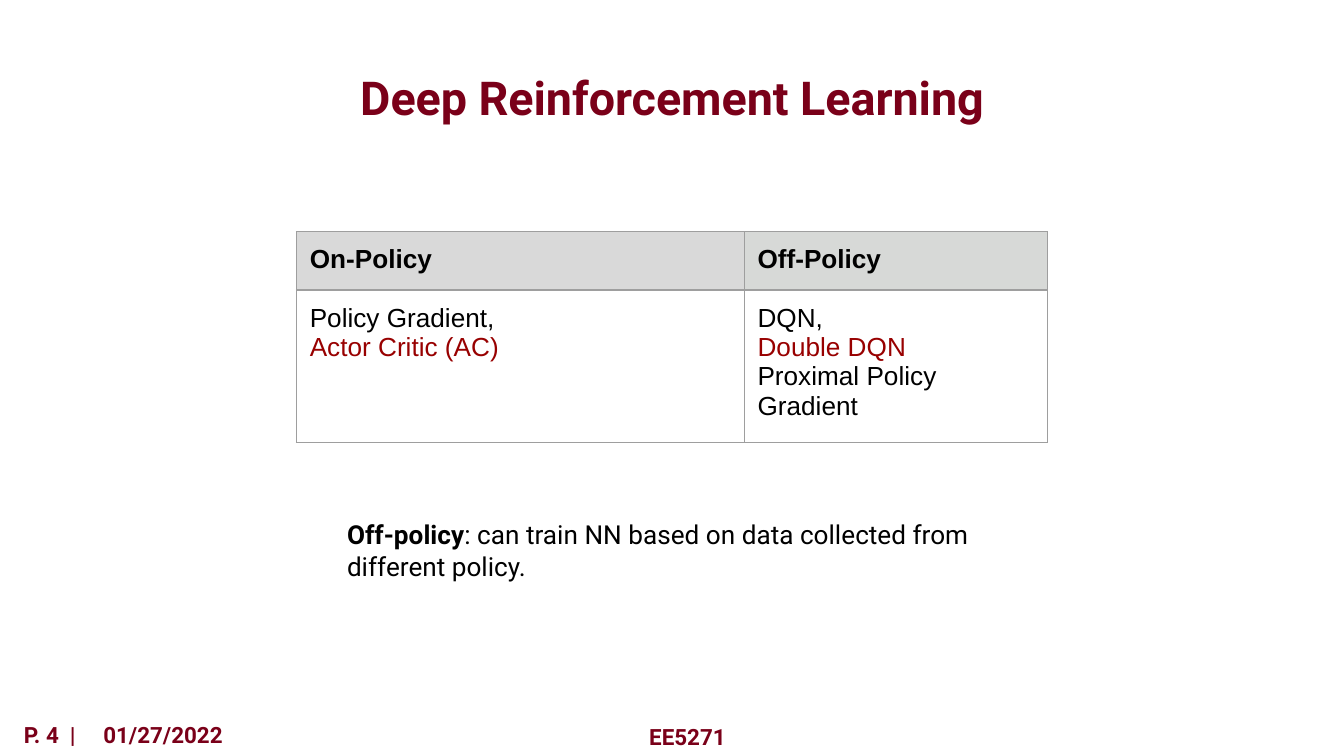
from lxml.etree import SubElement
from pptx import Presentation
from pptx.dml.color import RGBColor
from pptx.enum.text import MSO_ANCHOR, PP_ALIGN
from pptx.oxml.ns import qn
from pptx.util import Inches, Pt

MAROON = RGBColor(0x7A, 0x00, 0x19)
RED = RGBColor(0x98, 0x00, 0x00)
BLACK = RGBColor(0x00, 0x00, 0x00)
WHITE = RGBColor(0xFF, 0xFF, 0xFF)
GRAY = RGBColor(0xD9, 0xD9, 0xD9)
GREEN_GRAY = RGBColor(0xD7, 0xD9, 0xD7)
BORDER = RGBColor(0x9E, 0x9E, 0x9E)

WIDTH = Inches(10)
HEIGHT = WIDTH * 9 // 16
PAD = Inches(0.1)

HEADER = [("On-Policy", GRAY), ("Off-Policy", GREEN_GRAY)]
METHODS = [
    [("Policy Gradient,", BLACK), ("Actor Critic (AC)", RED)],
    [("DQN,", BLACK), ("Double DQN", RED), ("Proximal Policy Gradient", BLACK)],
]


def area(left, top, width, height):
    """Turn percentages of the slide into a box of lengths."""
    return (int(WIDTH * left / 100), int(HEIGHT * top / 100),
            int(WIDTH * width / 100), int(HEIGHT * height / 100))


def style(r, size, color, bold=False, font="Roboto"):
    r.font.name, r.font.size = font, Pt(size)
    r.font.bold, r.font.color.rgb = bold, color


def set_insets(item, x, y):
    item.margin_left = item.margin_right = x
    item.margin_top = item.margin_bottom = y


def add_title(s, box, text):
    sp = s.shapes.title
    sp.left, sp.top, sp.width, sp.height = box
    tf = sp.text_frame
    tf.text = text
    tf.vertical_anchor = MSO_ANCHOR.MIDDLE
    set_insets(tf, Inches(0.07), Inches(0.04))
    p = tf.paragraphs[0]
    p.alignment = PP_ALIGN.CENTER
    style(p.runs[0], 25, MAROON, True)


def add_text(s, box, runs, size, color, inset_y=PAD,
             anchor=MSO_ANCHOR.TOP, align=PP_ALIGN.LEFT):
    """Add one paragraph made of (text, bold) runs."""
    tf = s.shapes.add_textbox(*box).text_frame
    tf.word_wrap = True
    tf.vertical_anchor = anchor
    set_insets(tf, PAD, inset_y)
    p = tf.paragraphs[0]
    p.alignment = align
    for text, bold in runs:
        r = p.add_run()
        r.text = text
        style(r, size, color, bold)


def add_footer(s, box):
    left, top, width, height = box
    drop = height // 10
    parts = [
        ("P. 4  |", 0.8, 7.5, 0, PP_ALIGN.LEFT),
        ("01/27/2022", 6.7, 22.5, 0, PP_ALIGN.LEFT),
        ("EE5271", 30.9, 40.5, drop, PP_ALIGN.CENTER),
    ]
    for text, x, share, dy, align in parts:
        part = (left + int(width * x / 100), top + dy,
                int(width * share / 100), height - dy)
        add_text(s, part, [(text, True)], 12, MAROON,
                 Inches(0.05), MSO_ANCHOR.MIDDLE, align)


def set_borders(cell):
    tc_pr = cell._tc.get_or_add_tcPr()
    for i, side in enumerate(("lnL", "lnR", "lnT", "lnB")):
        ln = SubElement(tc_pr, qn(f"a:{side}"), w=str(Pt(0.75)))
        fill = SubElement(ln, qn("a:solidFill"))
        SubElement(fill, qn("a:srgbClr"), val=str(BORDER))
        tc_pr.insert(i, ln)


def fill_cell(cell, lines, fill, bold):
    set_insets(cell, PAD, PAD)
    set_borders(cell)
    cell.fill.solid()
    cell.fill.fore_color.rgb = fill
    tf = cell.text_frame
    tf.text = "\n".join(text for text, _ in lines)
    for p, (_, color) in zip(tf.paragraphs, lines):
        style(p.runs[0], 14, color, bold, "Arial")


def add_policy_table(s, box):
    """Add the table; its second row grows to fit the methods."""
    table = s.shapes.add_table(2, 2, *box).table
    table.first_row = table.horz_banding = False
    for col, share in zip(table.columns, (59.6, 40.4)):
        col.width = int(box[2] * share / 100)
    for row in table.rows:
        row.height = box[3] // 2
    for i, ((heading, fill), lines) in enumerate(zip(HEADER, METHODS)):
        fill_cell(table.cell(0, i), [(heading, BLACK)], fill, True)
        fill_cell(table.cell(1, i), lines, WHITE, False)


def main():
    prs = Presentation()
    prs.slide_width, prs.slide_height = WIDTH, HEIGHT
    s = prs.slides.add_slide(prs.slide_layouts.get_by_name("Title Only"))
    add_title(s, area(7.5, 4.45, 85, 16.7), "Deep Reinforcement Learning")
    add_footer(s, area(0, 94.48, 100, 5.34))
    add_policy_table(s, area(22.05, 30.65, 55.9, 15.3))
    add_text(s, area(24.84, 66.85, 50.4, 11.9), [
        ("Off-policy", True),
        (": can train NN based on data collected from different policy.", False),
    ], 14, BLACK)
    prs.save("out.pptx")


if __name__ == "__main__":
    main()
